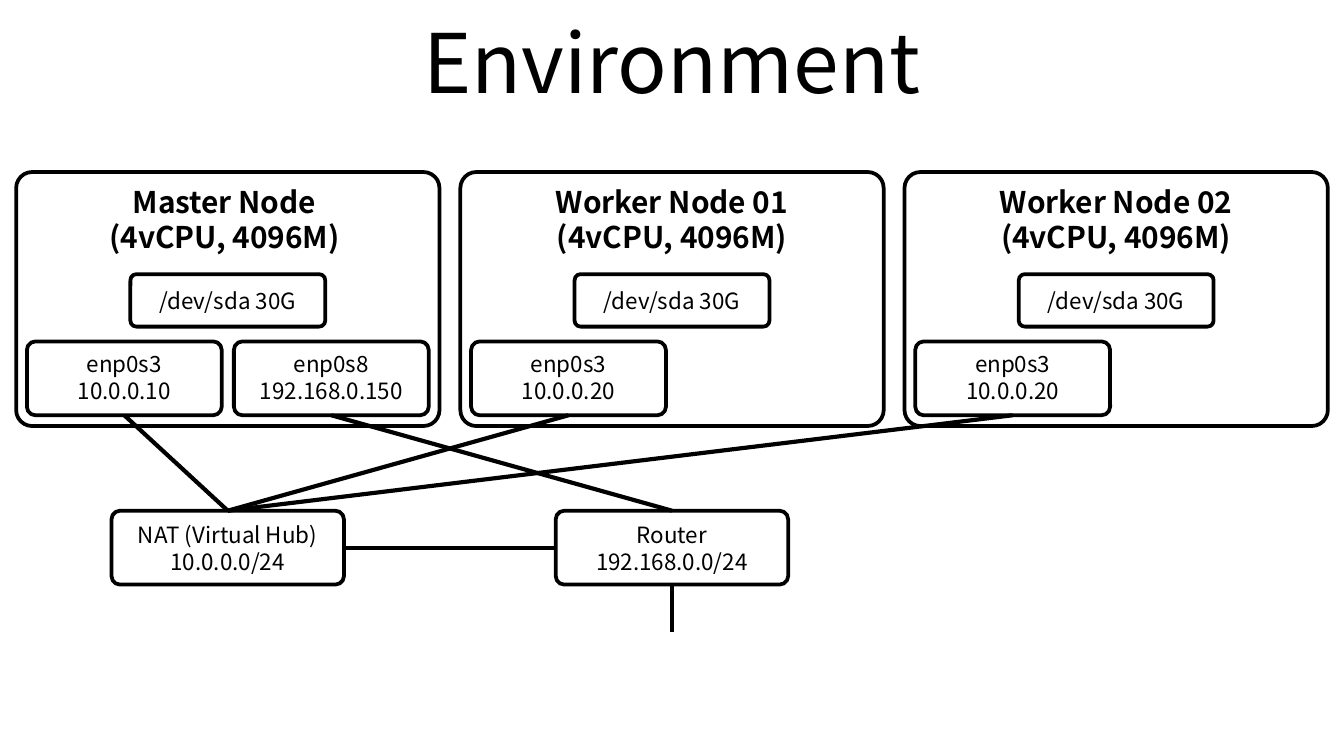
from pptx import Presentation
from pptx.dml.color import RGBColor
from pptx.enum.shapes import MSO_CONNECTOR, MSO_SHAPE
from pptx.enum.text import MSO_ANCHOR, PP_ALIGN
from pptx.oxml.ns import qn
from pptx.util import Inches, Pt
from lxml import etree

ROUND_RECT = MSO_SHAPE.ROUNDED_RECTANGLE
STRAIGHT = MSO_CONNECTOR.STRAIGHT
TOP, MIDDLE = MSO_ANCHOR.TOP, MSO_ANCHOR.MIDDLE
CENTER = PP_ALIGN.CENTER

FONT = "Noto Sans CJK KR"
COLORS = {"ink": "000000", "page": "FFFFFF"}

TITLE = "Environment"
SPECS = "(4vCPU, 4096M)"
DISK = "/dev/sda 30G"
NODES = [
    (["Master Node ", SPECS + " "],
     [("enp0s3", "10.0.0.10", "nat"), ("enp0s8", "192.168.0.150", "router")]),
    (["Worker Node 01", SPECS], [("enp0s3", "10.0.0.20", "nat")]),
    (["Worker Node 02", SPECS], [("enp0s3", "10.0.0.20", "nat")]),
]
NETWORKS = {
    "nat": ["NAT (Virtual Hub)", "10.0.0.0/24"],
    "router": ["Router", "192.168.0.0/24"],
}

SLIDE_W = 10
SLIDE_H = SLIDE_W * 9 / 16
NODE_X, NODE_Y, NODE_W, NODE_H = 0.12, 1.28, 3.15, 1.89
LAST_NODE_X = 6.73
PITCH = (LAST_NODE_X - NODE_X) / (len(NODES) - 1)
DISK_DX, DISK_Y, DISK_H = 0.85, 2.04, 0.39
CARD_DX, CARD_Y, CARD_W, CARD_H = 0.08, 2.54, 1.45, 0.55
CARD_PITCH = 1.54
NET_X, NET_Y, NET_W = 0.83, 3.8, 1.73
UPLINK = 0.35


def write(s, lines, size, bold=False, anchor=MIDDLE):
    tf = s.text_frame
    tf.word_wrap = True
    tf.vertical_anchor = anchor
    for i, line in enumerate(lines):
        p = tf.add_paragraph() if i else tf.paragraphs[0]
        p.text = line
        p.alignment = CENTER
        p.font.name = FONT
        p.font.size = Pt(size)
        p.font.bold = bold
        p.font.color.rgb = RGBColor.from_string(COLORS["ink"])


def box(slide, x, y, w, h, lines, size=12, bold=False, anchor=MIDDLE, radius=0.116):
    s = slide.shapes.add_shape(ROUND_RECT, Inches(x), Inches(y), Inches(w), Inches(h))
    s.adjustments[0] = radius
    s.shadow.inherit = False
    s.fill.background()
    s.line.color.rgb = RGBColor.from_string(COLORS["ink"])
    s.line.width = Pt(2)
    write(s, lines, size, bold, anchor)


def link(slide, x1, y1, x2, y2):
    c = slide.shapes.add_connector(STRAIGHT, Inches(x1), Inches(y1), Inches(x2), Inches(y2))
    c.line.color.rgb = RGBColor.from_string(COLORS["ink"])
    c.line.width = Pt(2.25)
    etree.SubElement(c._element.spPr, qn("a:effectLst"))


def main():
    prs = Presentation()
    prs.slide_width, prs.slide_height = Inches(SLIDE_W), Inches(SLIDE_H)
    slide = prs.slides.add_slide(prs.slide_layouts[6])
    slide.background.fill.solid()
    slide.background.fill.fore_color.rgb = RGBColor.from_string(COLORS["page"])

    title = slide.shapes.add_textbox(Inches(0.5), Inches(-0.02), Inches(9), Inches(0.94))
    write(title, [TITLE], 44)

    net_x = {name: NET_X + i * PITCH for i, name in enumerate(NETWORKS)}
    for name, lines in NETWORKS.items():
        box(slide, net_x[name], NET_Y, NET_W, CARD_H, lines)

    for i, (heading, cards) in enumerate(NODES):
        x = NODE_X + i * PITCH
        box(slide, x, NODE_Y, NODE_W, NODE_H, heading, 16, True, TOP, 0.063)
        box(slide, x + DISK_DX, DISK_Y, CARD_W, DISK_H, [DISK])
        for j, (device, address, network) in enumerate(cards):
            card_x = x + CARD_DX + j * CARD_PITCH
            box(slide, card_x, CARD_Y, CARD_W, CARD_H, [device, address], anchor=TOP)
            link(slide, card_x + CARD_W / 2, CARD_Y + CARD_H,
                 net_x[network] + NET_W / 2, NET_Y)

    middle_y = NET_Y + CARD_H / 2
    link(slide, net_x["nat"] + NET_W, middle_y, net_x["router"], middle_y)
    router_x, router_bottom = net_x["router"] + NET_W / 2, NET_Y + CARD_H
    link(slide, router_x, router_bottom, router_x, router_bottom + UPLINK)

    prs.save("out.pptx")


if __name__ == "__main__":
    main()
